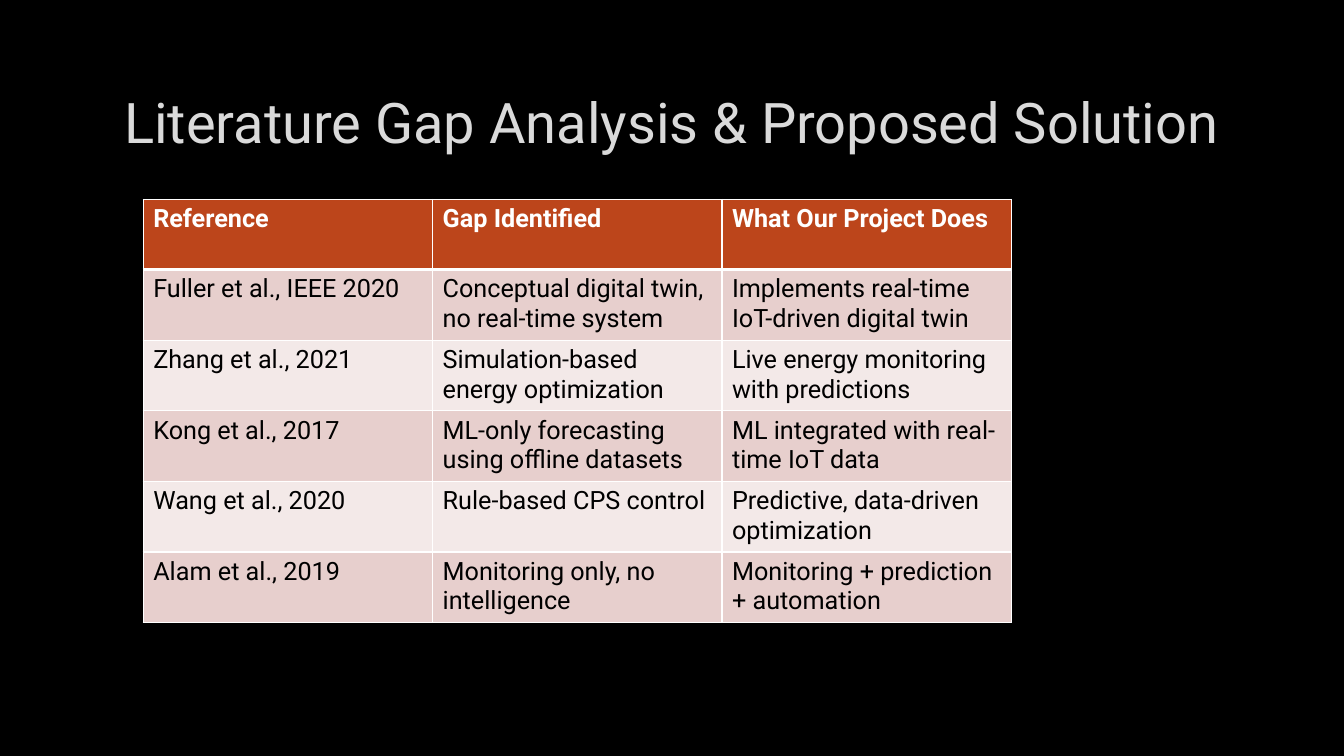
from dataclasses import dataclass
from lxml.etree import SubElement
from pptx import Presentation
from pptx.dml.color import RGBColor
from pptx.enum.text import MSO_ANCHOR, PP_ALIGN
from pptx.oxml import parse_xml
from pptx.oxml.ns import nsdecls, qn
from pptx.slide import Slide
from pptx.table import _Cell as Cell
from pptx.text.text import _Paragraph as Para
from pptx.util import Inches, Pt

WIDE, HIGH = Inches(13.33), Inches(7.5)
COLS, ROWS = 32, 30


@dataclass(frozen=True)
class Theme:
    face: str = "Roboto"
    back: str = "000000"
    title: str = "DADADA"
    edge: str = "404040"
    head: str = "BC451B"
    bands: tuple[str, str] = ("E7CFCD", "F3E9E8")
    rule: str = "FFFFFF"
    light: str = "FFFFFF"
    dark: str = "000000"
    big: int = 40
    body: int = 18


@dataclass(frozen=True)
class Box:
    """A place on the grid, in columns and rows."""
    left: float
    top: float
    width: float
    height: float

    def place(self) -> tuple[int, int, int, int]:
        return (int(WIDE * self.left / COLS), int(HIGH * self.top / ROWS),
                int(WIDE * self.width / COLS), int(HIGH * self.height / ROWS))


@dataclass(frozen=True)
class Study:
    source: str
    gap: str
    answer: str

    def texts(self) -> tuple[str, str, str]:
        return self.source, self.gap, self.answer


THEME = Theme()
TITLE = Box(2.4, 2.68, 27.17, 4.24)
TABLE = Box(3.41, 7.92, 20.67, 16.67)
HEAD = Study("Reference", "Gap Identified", "What Our Project Does")
STUDIES = [
    Study("Fuller et al., IEEE 2020", "Conceptual digital twin, no real-time system",
          "Implements real-time IoT-driven digital twin"),
    Study("Zhang et al., 2021", "Simulation-based energy optimization",
          "Live energy monitoring with predictions"),
    Study("Kong et al., 2017", "ML-only forecasting using offline datasets",
          "ML integrated with real-time IoT data"),
    Study("Wang et al., 2020", "Rule-based CPS control",
          "Predictive, data-driven optimization"),
    Study("Alam et al., 2019", "Monitoring only, no intelligence",
          "Monitoring + prediction + automation"),
]


def style(para: Para, size: int, tone: str, bold: bool = False) -> None:
    font = para.font
    font.name, font.size, font.bold = THEME.face, Pt(size), bold
    font.color.rgb = RGBColor.from_string(tone)


def edge(para: Para) -> None:
    """Give the letters a faint outline."""
    line = parse_xml(f'<a:ln {nsdecls("a")} w="{Pt(0.75)}"><a:solidFill>'
                     f'<a:srgbClr val="{THEME.edge}"><a:alpha val="10000"/>'
                     '</a:srgbClr></a:solidFill></a:ln>')
    para.runs[0]._r.get_or_add_rPr().insert(0, line)


def rule(cell: Cell, base: float) -> None:
    """Draw the four borders, the lower one base points wide."""
    props = cell._tc.get_or_add_tcPr()
    for spot, (side, width) in enumerate(zip("LRTB", (1, 1, 1, base))):
        line = SubElement(props, qn(f"a:ln{side}"), w=str(Pt(width)))
        fill = SubElement(line, qn("a:solidFill"))
        SubElement(fill, qn("a:srgbClr"), val=THEME.rule)
        props.insert(spot, line)


def draw_title(slide: Slide, text: str) -> None:
    frame = slide.shapes.add_textbox(*TITLE.place()).text_frame
    frame.word_wrap = True
    frame.vertical_anchor = MSO_ANCHOR.MIDDLE
    para = frame.paragraphs[0]
    para.text, para.alignment = text, PP_ALIGN.CENTER
    style(para, THEME.big, THEME.title)
    edge(para)


def draw_cell(cell: Cell, text: str, row: int) -> None:
    first = row == 0
    fill = THEME.head if first else THEME.bands[(row - 1) % 2]
    cell.fill.solid()
    cell.fill.fore_color.rgb = RGBColor.from_string(fill)
    para = cell.text_frame.paragraphs[0]
    para.text = text
    style(para, THEME.body, THEME.light if first else THEME.dark, first)
    rule(cell, 3 if first else 1)
    if row == 1:
        cell._tc.tcPr.find(qn("a:lnT")).set("w", str(Pt(3)))


def draw_table(slide: Slide, lines: list[Study]) -> None:
    wide = len(HEAD.texts())
    table = slide.shapes.add_table(len(lines), wide, *TABLE.place()).table
    for row, line in enumerate(lines):
        for col, text in enumerate(line.texts()):
            draw_cell(table.cell(row, col), text, row)


def main() -> None:
    deck = Presentation()
    deck.slide_width, deck.slide_height = WIDE, HIGH
    slide = deck.slides.add_slide(deck.slide_layouts[6])
    slide.background.fill.solid()
    slide.background.fill.fore_color.rgb = RGBColor.from_string(THEME.back)
    draw_title(slide, "Literature Gap Analysis & Proposed Solution")
    draw_table(slide, [HEAD, *STUDIES])
    deck.save("out.pptx")


if __name__ == "__main__":
    main()
